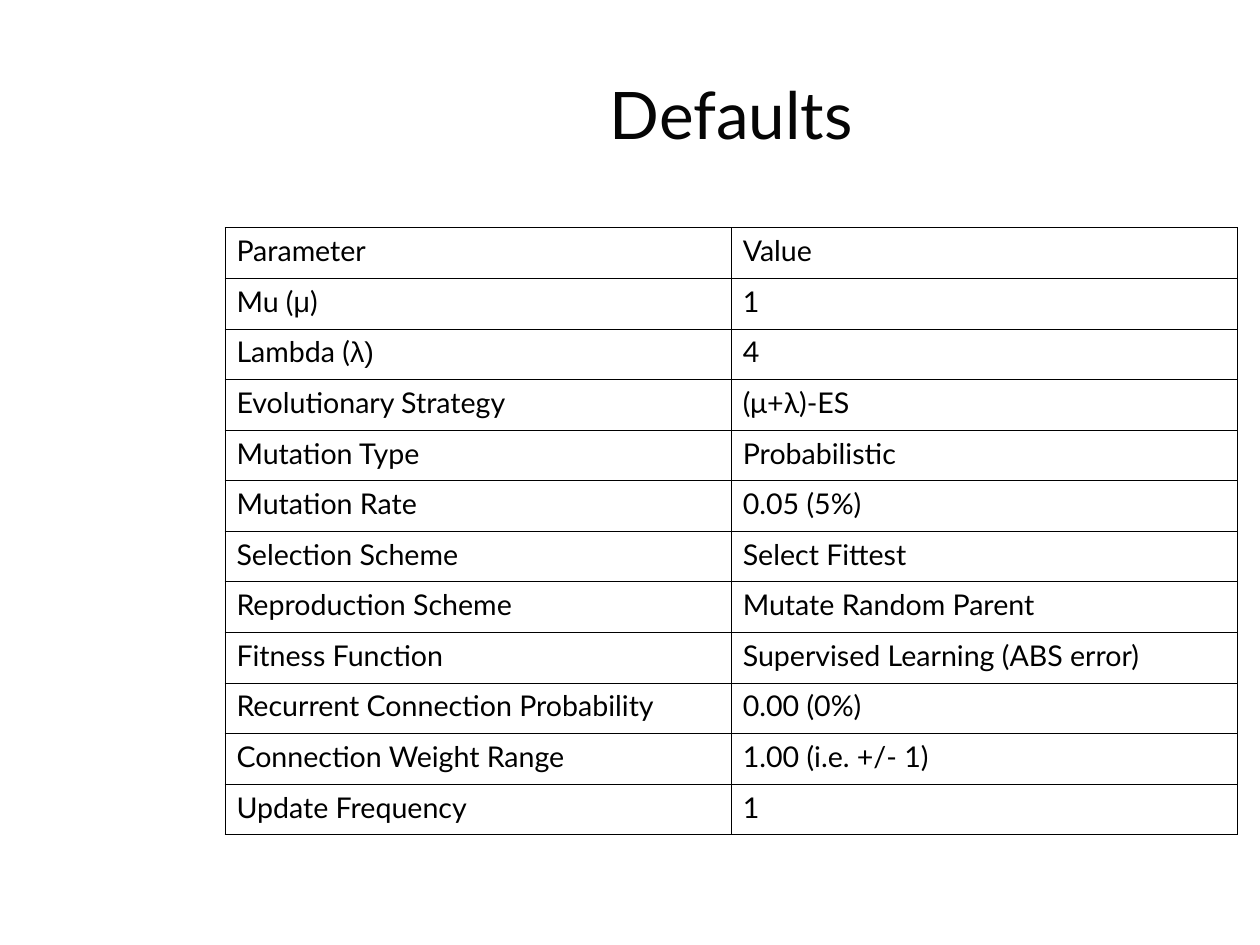
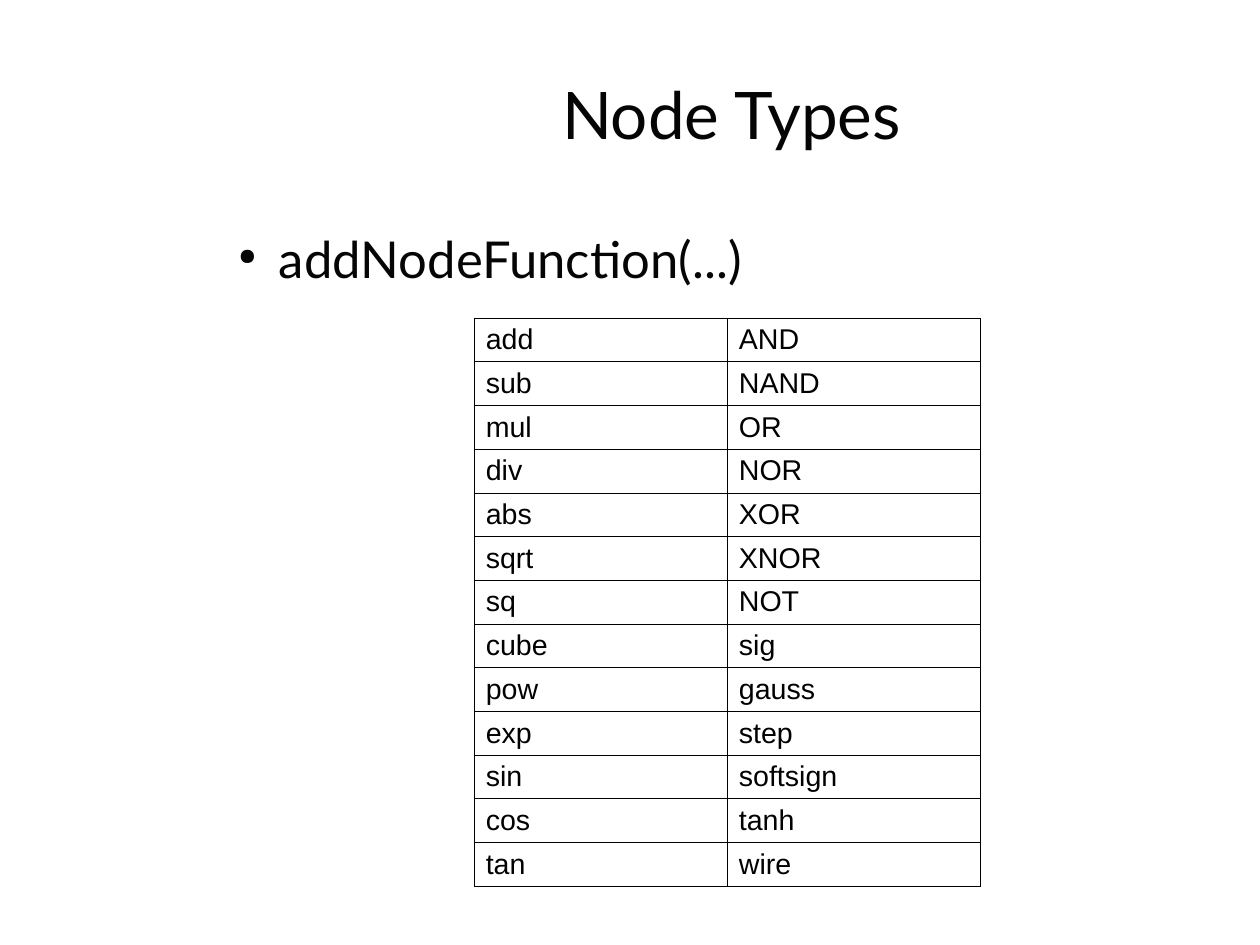
from dataclasses import dataclass
from itertools import cycle

from lxml.etree import SubElement
from pptx import Presentation
from pptx.dml.color import RGBColor
from pptx.enum.text import MSO_ANCHOR, MSO_AUTO_SIZE, PP_ALIGN
from pptx.oxml.ns import qn
from pptx.util import Pt


@dataclass(frozen=True)
class Theme:
    ink: str = "050505"
    black: str = "000000"
    white: str = "FFFFFF"
    main: str = "Lato"
    plain: str = "Arial"
    head: float = 41.3
    body: float = 32
    cell: float = 18
    rule: float = 0.57
    left: float = 141.8
    width: float = 637.9
    top: float = 143.5


# A tuple in a cell alternates between the main and the plain font.
DEFAULTS = [
    ("Parameter", "Value"),
    (("Mu (", "μ", ")"), "1"),
    (("Lambda (", "λ)"), "4"),
    ("Evolutionary Strategy", "(μ+λ)-ES"),
    ("Mutation Type", "Probabilistic"),
    ("Mutation Rate", "0.05 (5%)"),
    ("Selection Scheme", "Select Fittest"),
    ("Reproduction Scheme", "Mutate Random Parent"),
    ("Fitness Function", "Supervised Learning (ABS error)"),
    ("Recurrent Connection Probability", "0.00 (0%)"),
    ("Connection Weight Range", "1.00 (i.e. +/- 1)"),
    ("Update Frequency", "1"),
]
MATHS = "add sub mul div abs sqrt sq cube pow exp sin cos tan".split()
LOGIC = "AND NAND OR NOR XOR XNOR NOT sig gauss step softsign tanh wire".split()


class Deck:
    """Holds the style and the slide being drawn."""

    def __init__(self, theme):
        self.theme = theme
        self.show = Presentation()
        self.show.slide_width = Pt(793.7)
        self.show.slide_height = Pt(595.3)
        self.slide = None

    def font(self, run, size, name, color):
        run.font.size = Pt(size)
        run.font.name = name
        run.font.color.rgb = RGBColor.from_string(color)

    def frame(self, shape, text, size):
        """Fill a text shape without margins and return its paragraph."""
        frame = shape.text_frame
        frame.text = text
        frame.word_wrap = True
        frame.auto_size = MSO_AUTO_SIZE.NONE
        frame.margin_left = frame.margin_right = 0
        frame.margin_top = frame.margin_bottom = 0
        para = frame.paragraphs[0]
        self.font(para.runs[0], size, self.theme.main, self.theme.ink)
        return para

    def page(self, title):
        """Start a title-only slide."""
        look = self.theme
        self.slide = self.show.slides.add_slide(self.show.slide_layouts[5])
        head = self.slide.shapes.title
        head.left, head.top = Pt(look.left), Pt(22.3)
        head.width, head.height = Pt(look.width), Pt(98)
        self.frame(head, title, look.head).alignment = PP_ALIGN.CENTER
        head.text_frame.vertical_anchor = MSO_ANCHOR.MIDDLE

    def bullet(self, text):
        look = self.theme
        box = self.slide.shapes.add_textbox(
            Pt(look.left), Pt(look.top), Pt(look.width), Pt(345))
        para = self.frame(box, text, look.body)
        para.space_after = Pt(14.1)
        props = para._p.get_or_add_pPr()
        props.set("marL", str(Pt(34)))
        props.set("indent", str(Pt(-25.5)))
        color = SubElement(props, qn("a:buClr"))
        SubElement(color, qn("a:srgbClr"), val=look.ink)
        SubElement(props, qn("a:buSzPct"), val="45000")
        SubElement(props, qn("a:buChar"), char="●")

    def border(self, cell):
        props = cell._tc.get_or_add_tcPr()
        for side in ("lnL", "lnR", "lnT", "lnB"):
            line = SubElement(props, qn(f"a:{side}"), w=str(Pt(self.theme.rule)))
            fill = SubElement(line, qn("a:solidFill"))
            SubElement(fill, qn("a:srgbClr"), val=self.theme.black)

    def table(self, rows, left, top, width, step, fonts):
        """Draw an even grid; step is the row height."""
        look = self.theme
        count = len(rows[0])
        grid = self.slide.shapes.add_table(
            len(rows), count, Pt(left), Pt(top),
            Pt(width), Pt(step * len(rows))).table
        grid.first_row = grid.horz_banding = False
        for col in grid.columns:
            col.width = Pt(width / count)
        for line, row in zip(grid.rows, rows):
            line.height = Pt(step)
            for cell, text in zip(line.cells, row):
                self.border(cell)
                cell.fill.solid()
                cell.fill.fore_color.rgb = RGBColor.from_string(look.white)
                parts = (text,) if isinstance(text, str) else text
                para = cell.text_frame.paragraphs[0]
                for part, name in zip(parts, cycle(fonts)):
                    run = para.add_run()
                    run.text = part
                    self.font(run, look.cell, name, look.black)


def main():
    look = Theme()
    deck = Deck(look)

    deck.page("Defaults")
    deck.table(DEFAULTS, look.left, look.top, look.width, 31.88,
               (look.main, look.plain))

    deck.page("Node Types")
    deck.bullet("addNodeFunction(...)")
    deck.table(list(zip(MATHS, LOGIC)), 298.8, 200.4, look.width / 2, 27.55,
               (look.plain,))

    deck.show.save("out.pptx")


if __name__ == "__main__":
    main()
